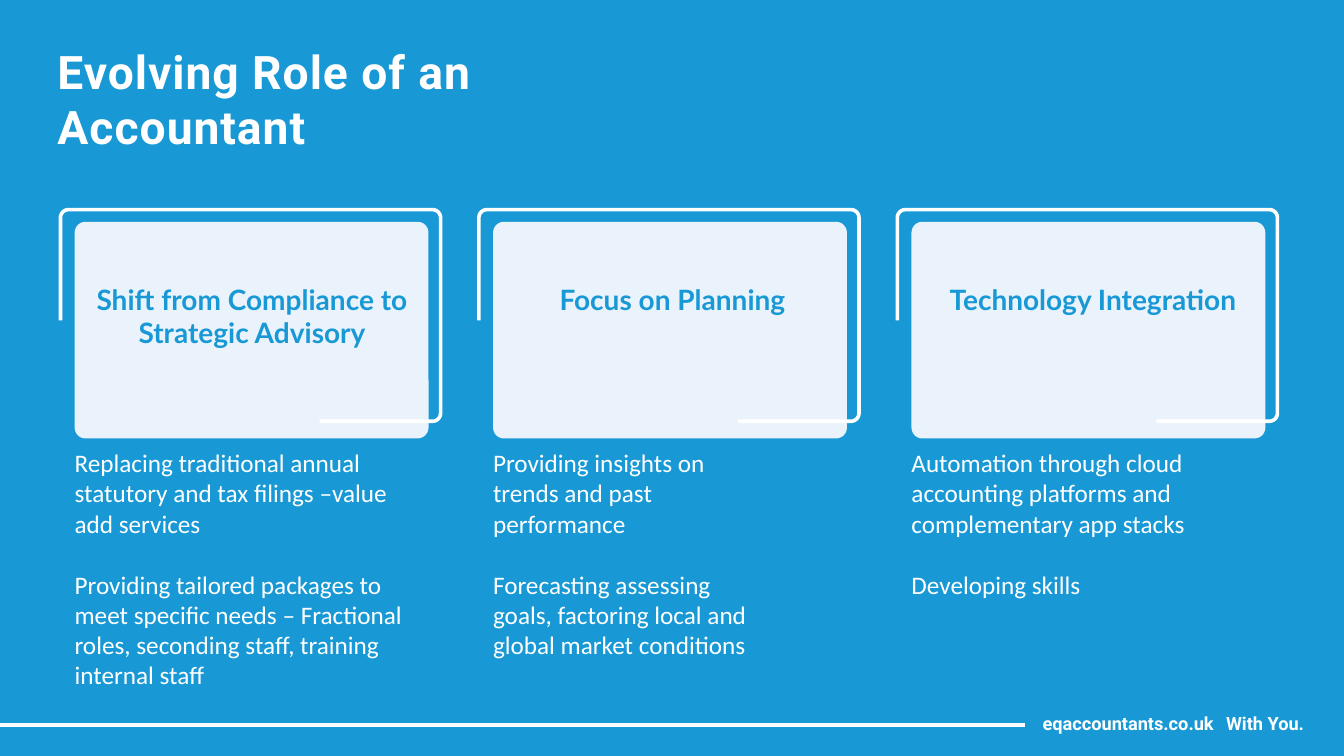
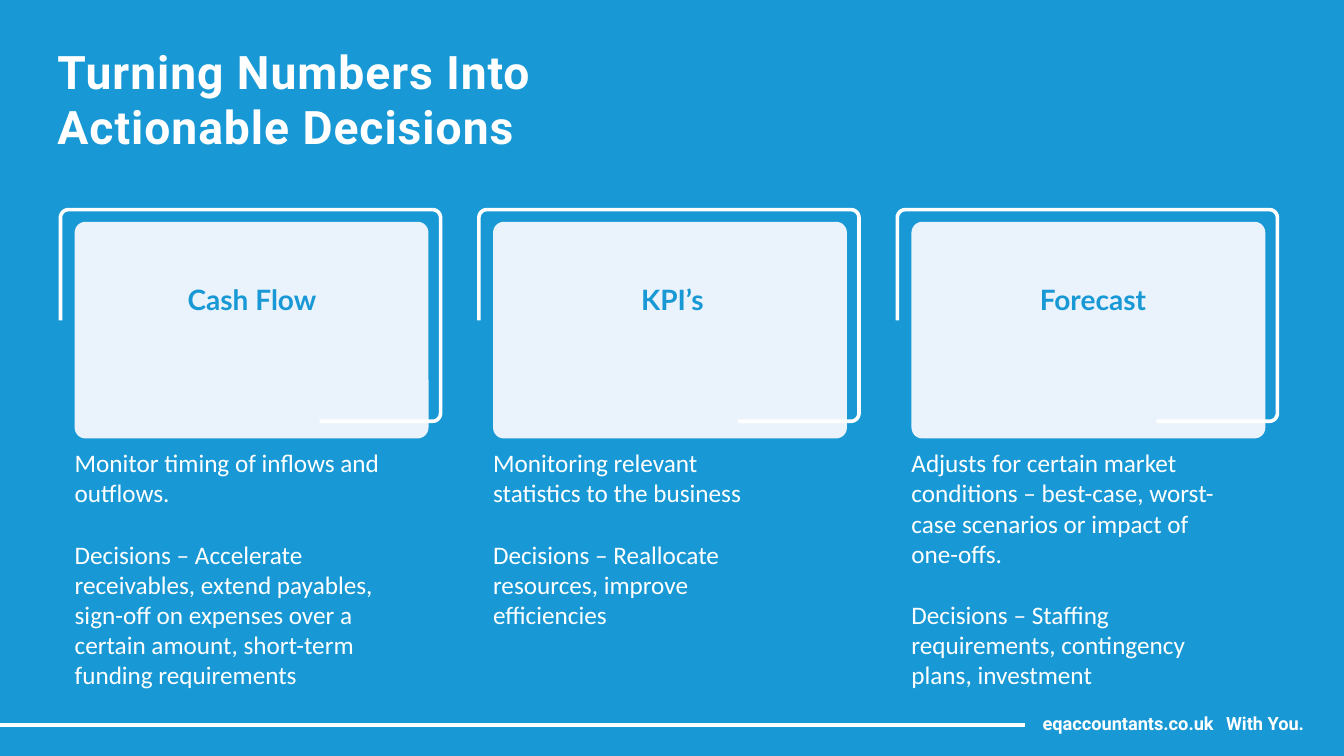
from math import cos, radians, sin

from lxml import etree
from pptx import Presentation
from pptx.dml.color import RGBColor
from pptx.enum.shapes import MSO_CONNECTOR as CONNECTOR, MSO_SHAPE as SHAPE
from pptx.enum.text import MSO_AUTO_SIZE as AUTO_SIZE, PP_ALIGN as ALIGN
from pptx.oxml.ns import qn
from pptx.util import Inches, Pt

BLUE = RGBColor(0x18, 0x99, 0xD6)
PALE = RGBColor(0xEA, 0xF3, 0xFC)
WHITE = RGBColor(0xFF, 0xFF, 0xFF)

CARD_LEFT, CARD_PITCH = 0.74, 4.15
HEADING_LEFT, HEADING_PITCH = 0.75, 4.17
BODY_WIDTHS = (3.42, 2.72, 3.23)
LINE_WIDTH = Pt(2.58)

# Each slide: title, then (heading, paragraphs) for every column
SLIDES = [
    ("Evolving Role of an Accountant", [
        ("Shift from Compliance to Strategic Advisory", [
            "Replacing traditional annual statutory and tax filings –value add services",
            "Providing tailored packages to meet specific needs – Fractional roles, "
            "seconding staff, training internal staff"]),
        ("Focus on Planning", [
            "Providing insights on trends and past performance",
            "Forecasting assessing goals, factoring local and global market conditions"]),
        ("Technology Integration", [
            "Automation through cloud accounting platforms and complementary app stacks",
            "Developing skills"]),
    ]),
    ("Turning Numbers Into Actionable Decisions", [
        ("Cash Flow", [
            "Monitor timing of inflows and outflows.",
            "Decisions – Accelerate receivables, extend payables, sign-off on expenses "
            "over a certain amount, short-term funding requirements"]),
        ("KPI’s", [
            "Monitoring relevant statistics to the business",
            "Decisions – Reallocate resources, improve efficiencies"]),
        ("Forecast", [
            "Adjusts for certain market conditions – best-case, worst-case scenarios "
            "or impact of one-offs.",
            "Decisions – Staffing requirements, contingency plans, investment"]),
    ]),
]


def arc(center_x, center_y, radius, start):
    """Points of a clockwise quarter circle, from the start angle in degrees."""
    angles = [radians(start + step * 15) for step in range(7)]
    return [(center_x + radius * cos(a), center_y + radius * sin(a)) for a in angles]


class Deck:
    def __init__(self):
        self.presentation = Presentation()
        self.presentation.slide_width = Inches(13.33)
        self.presentation.slide_height = Inches(7.5)
        self.slide = None

    def add_slide(self):
        layout = self.presentation.slide_layouts[6]
        self.slide = self.presentation.slides.add_slide(layout)
        fill = self.slide.background.fill
        fill.solid()
        fill.fore_color.rgb = BLUE

    def text(self, left, top, width, height, paragraphs, font, size, color=WHITE,
             bold=False, align=ALIGN.LEFT, insets=(0, 0.02), gap=0, tab=None,
             spacing=None):
        box = self.slide.shapes.add_textbox(
            Inches(left), Inches(top), Inches(width), Inches(height))
        frame = box.text_frame
        frame.word_wrap = True
        frame.auto_size = AUTO_SIZE.SHAPE_TO_FIT_TEXT
        frame.margin_left = frame.margin_right = Inches(insets[0])
        frame.margin_top = Inches(insets[1])
        frame.margin_bottom = 0
        for index, content in enumerate(paragraphs):
            paragraph = frame.add_paragraph() if index else frame.paragraphs[0]
            paragraph.alignment = align
            if index:
                paragraph.space_before = Pt(gap)
            if tab:
                tabs = etree.SubElement(paragraph._p.get_or_add_pPr(), qn("a:tabLst"))
                etree.SubElement(tabs, qn("a:tab"), pos=str(Inches(tab)), algn="l")
            run = paragraph.add_run()
            run.text = content
            run.font.name, run.font.size, run.font.bold = font, Pt(size), bold
            run.font.color.rgb = color
            if spacing:
                run._r.get_or_add_rPr().set("spc", str(spacing))

    def title(self, content):
        self.text(0.57, 0.41, 5.51, 1.13, [content], "Roboto", 33, bold=True,
                  spacing=70)

    def card(self, left):
        card = self.slide.shapes.add_shape(
            SHAPE.ROUNDED_RECTANGLE, Inches(left), Inches(2.2), Inches(3.51), Inches(2.15))
        card.adjustments[0] = 0.05
        card.shadow.inherit = False
        card.fill.solid()
        card.fill.fore_color.rgb = PALE
        card.line.fill.background()

    def bracket(self, left):
        """Open rounded outline around a card."""
        right, top, bottom, radius = left + 3.77, 2.08, 4.18, 0.08
        points = [(left, 3.18)]
        points += arc(left + radius, top + radius, radius, 180)
        points += arc(right - radius, top + radius, radius, 270)
        points += arc(right - radius, bottom - radius, radius, 0)
        points.append((left + 2.57, bottom))
        (start_x, start_y), *rest = [(Inches(x), Inches(y)) for x, y in points]
        builder = self.slide.shapes.build_freeform(start_x, start_y)
        builder.add_line_segments(rest, close=False)
        bracket = builder.convert_to_shape()
        bracket.shadow.inherit = False
        bracket.fill.background()
        bracket.line.color.rgb = WHITE
        bracket.line.width = LINE_WIDTH

    def column(self, index, heading, paragraphs):
        left = CARD_LEFT + index * CARD_PITCH
        self.card(left)
        self.bracket(left - 0.14)
        self.text(HEADING_LEFT + index * HEADING_PITCH, 2.75, 3.5, 0.77, [heading],
                  "Lato", 20, BLUE, True, ALIGN.CENTER, insets=(0.1, 0.05))
        self.text(left, 4.42, BODY_WIDTHS[index], 2.44, paragraphs, "Calibri", 18,
                  gap=22)

    def footer(self):
        rule = self.slide.shapes.add_connector(
            CONNECTOR.STRAIGHT, 0, Inches(7.19), Inches(10.17), Inches(7.19))
        rule.line.color.rgb = WHITE
        rule.line.width = LINE_WIDTH
        etree.SubElement(rule._element.spPr, qn("a:effectLst"))
        self.text(10.34, 7.05, 2.78, 0.24, ["eqaccountants.co.uk\tWith You."],
                  "Roboto", 13, bold=True, tab=1.82)


def main():
    deck = Deck()
    for title, columns in SLIDES:
        deck.add_slide()
        for index, (heading, paragraphs) in enumerate(columns):
            deck.column(index, heading, paragraphs)
        deck.footer()
        deck.title(title)
    deck.presentation.save("out.pptx")


if __name__ == "__main__":
    main()
